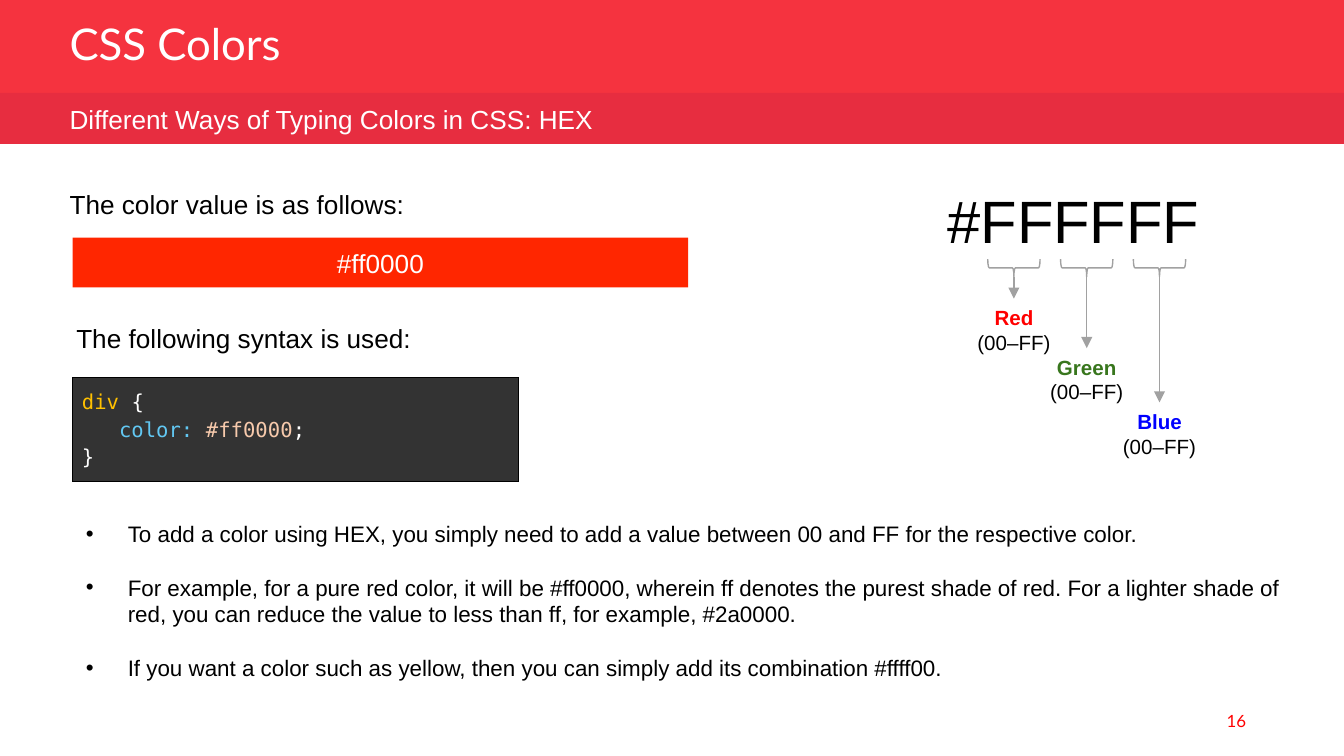
from lxml import etree
from pptx import Presentation
from pptx import util as u
from pptx.dml.color import RGBColor
from pptx.enum import shapes, text
from pptx.oxml import ns

Pt = u.Pt
WHITE = RGBColor(0xFF, 0xFF, 0xFF)
BLACK = RGBColor(0, 0, 0)
HEADER = RGBColor(0xF5, 0x33, 0x3F)
BAND = RGBColor(0xE7, 0x2D, 0x40)
SWATCH = RGBColor(0xFF, 0x26, 0)
RED = RGBColor(0xFF, 0, 0)
GREEN = RGBColor(0x38, 0x76, 0x1D)
BLUE = RGBColor(0, 0, 0xFF)
GREY = RGBColor(0xA1, 0xA1, 0xA1)
CODE_BACK = RGBColor(0x33, 0x33, 0x33)
SELECTOR = RGBColor(0xFF, 0xC0, 0)
PROPERTY = RGBColor(0x62, 0xC8, 0xF3)
VALUE = RGBColor(0xF7, 0xCA, 0xAC)

CENTER = text.PP_ALIGN.CENTER
RIGHT = text.PP_ALIGN.RIGHT
MIDDLE = text.MSO_ANCHOR.MIDDLE


def child(parent, tag, **attributes):
    return etree.SubElement(parent, ns.qn(tag), attributes)


def write(para, content, size=14, color=BLACK, font="Arial", bold=False,
          align=None, spacing=None):
    span = para.add_run()
    span.text = content
    span.font.size = Pt(size)
    span.font.name = font
    span.font.bold = bold
    span.font.color.rgb = color
    if align is not None:
        para.alignment = align
    if spacing is not None:
        para.line_spacing = spacing


def next_para(frame, index):
    return frame.add_paragraph() if index else frame.paragraphs[0]


class SlideBuilder:
    """Hold the deck style and the current slide, and add elements to it."""

    line_width = 0.75
    code_font = "DejaVu Sans Mono"

    def __init__(self, page):
        self.page = page

    def frame(self, left, top, width, height, anchor=text.MSO_ANCHOR.TOP):
        box = self.page.shapes.add_textbox(Pt(left), Pt(top), Pt(width), Pt(height))
        box.text_frame.word_wrap = True
        box.text_frame.vertical_anchor = anchor
        return box

    def label(self, content, left, top, width, height, anchor=text.MSO_ANCHOR.TOP, **style):
        box = self.frame(left, top, width, height, anchor)
        write(box.text_frame.paragraphs[0], content, **style)

    def bar(self, left, top, width, height, fill, content=None, **style):
        box = self.page.shapes.add_shape(
            shapes.MSO_SHAPE.RECTANGLE, Pt(left), Pt(top), Pt(width), Pt(height))
        box.shadow.inherit = False
        box.fill.solid()
        box.fill.fore_color.rgb = fill
        box.line.fill.background()
        if content:
            box.text_frame.vertical_anchor = MIDDLE
            write(box.text_frame.paragraphs[0], content, **style)

    def bullets(self, items, left, top, width, height, size, gap):
        frame = self.frame(left, top, width, height).text_frame
        for index, item in enumerate(items):
            para = next_para(frame, index)
            props = para._p.get_or_add_pPr()
            props.set("marL", str(Pt(22.5)))
            props.set("indent", str(-Pt(22.5)))
            child(child(props, "a:buClr"), "a:srgbClr", val=str(BLACK))
            child(props, "a:buFont", typeface="Arial")
            child(props, "a:buChar", char="•")
            if index:
                para.space_before = Pt(gap)
            write(para, item, size=size)

    def code(self, lines, left, top, width, height):
        table = self.page.shapes.add_table(
            1, 1, Pt(left), Pt(top), Pt(width), Pt(height)).table
        table.first_row = table.horz_banding = False
        cell = table.cell(0, 0)
        cell.margin_left = cell.margin_right = Pt(5)
        cell.margin_top = cell.margin_bottom = Pt(5)
        props = cell._tc.get_or_add_tcPr()
        for side in ("a:lnL", "a:lnR", "a:lnT", "a:lnB"):
            border = child(props, side, w=str(Pt(self.line_width)))
            child(child(border, "a:solidFill"), "a:srgbClr", val=str(BLACK))
        cell.fill.solid()
        cell.fill.fore_color.rgb = CODE_BACK
        for index, spans in enumerate(lines):
            para = next_para(cell.text_frame, index)
            for content, color in spans:
                write(para, content, size=11, color=color, font=self.code_font, spacing=1.15)

    def brace(self, center, middle, span, depth):
        brace = self.page.shapes.add_shape(
            shapes.MSO_SHAPE.LEFT_BRACE, Pt(center - depth / 2), Pt(middle - span / 2),
            Pt(depth), Pt(span))
        brace.rotation = 270
        brace.shadow.inherit = False
        brace.fill.background()
        brace.line.color.rgb = GREY
        brace.line.width = Pt(self.line_width)

    def channel(self, name, color, center, top):
        box = self.frame(center - 30, top, 60, 33.8)
        frame = box.text_frame
        write(frame.paragraphs[0], name, size=11, color=color, bold=True, align=CENTER)
        write(frame.add_paragraph(), "(00–FF)", size=11, align=CENTER)
        return box

    def arrow(self, x, top, target):
        arrow = self.page.shapes.add_connector(
            shapes.MSO_CONNECTOR.STRAIGHT, Pt(x), Pt(top), Pt(x), target.top)
        arrow.end_connect(target, 0)
        arrow.line.color.rgb = GREY
        arrow.line.width = Pt(self.line_width)
        child(arrow.line._get_or_add_ln(), "a:tailEnd", type="triangle")
        child(arrow._element.spPr, "a:effectLst")


def main():
    deck = Presentation()
    deck.slide_width, deck.slide_height = Pt(720), Pt(405)
    slide = SlideBuilder(deck.slides.add_slide(deck.slide_layouts[6]))

    slide.bar(0, 0, 720, 50.4, HEADER)
    slide.label("16", 512.6, 375.1, 162, 21.6, MIDDLE,
                size=9, color=RED, font="Lato", align=RIGHT)
    slide.bullets([
        "To add a color using HEX, you simply need to add a value between 00 and FF"
        " for the respective color.",
        "For example, for a pure red color, it will be #ff0000, wherein ff denotes the"
        " purest shade of red. For a lighter shade of red, you can reduce the value to"
        " less than ff, for example, #2a0000.",
        "If you want a color such as yellow, then you can simply add its combination #ffff00.",
    ], 38.9, 275, 671.8, 108.7, size=12, gap=14.4)
    slide.label("CSS Colors", 30.2, 10.1, 337.7, 31.7, MIDDLE,
                size=23.4, color=WHITE, font="Lato", spacing=0.8)
    slide.bar(0, 49.7, 720, 27.4, BAND)
    slide.label("Different Ways of Typing Colors in CSS: HEX",
                30.2, 51.8, 366.5, 24.5, color=WHITE)

    slide.code([
        [("div ", SELECTOR), ("{", WHITE)],
        [("   color: ", PROPERTY), ("#ff0000", VALUE), (";", WHITE)],
        [("}", WHITE)],
    ], 38.9, 202.3, 239, 54.7)
    slide.bar(38.9, 127.4, 329.8, 26.6, SWATCH, "#ff0000", color=WHITE, align=CENTER)

    slide.label("#FFFFFF", 500.4, 95, 150.5, 46.1, size=32)
    channels = [("Red", RED, 160), ("Green", GREEN, 186.5), ("Blue", BLUE, 215.6)]
    for index, (name, color, top) in enumerate(channels):
        center = 543.2 + 39 * index
        slide.brace(center, 143.5, span=28, depth=9.4)
        slide.arrow(center, 148.2, slide.channel(name, color, center, top))

    slide.label("The color value is as follows:", 30.2, 97.2, 221.8, 24.5)
    slide.label("The following syntax is used:", 33.8, 169.2, 260.6, 24.5)
    deck.save("out.pptx")


if __name__ == "__main__":
    main()
